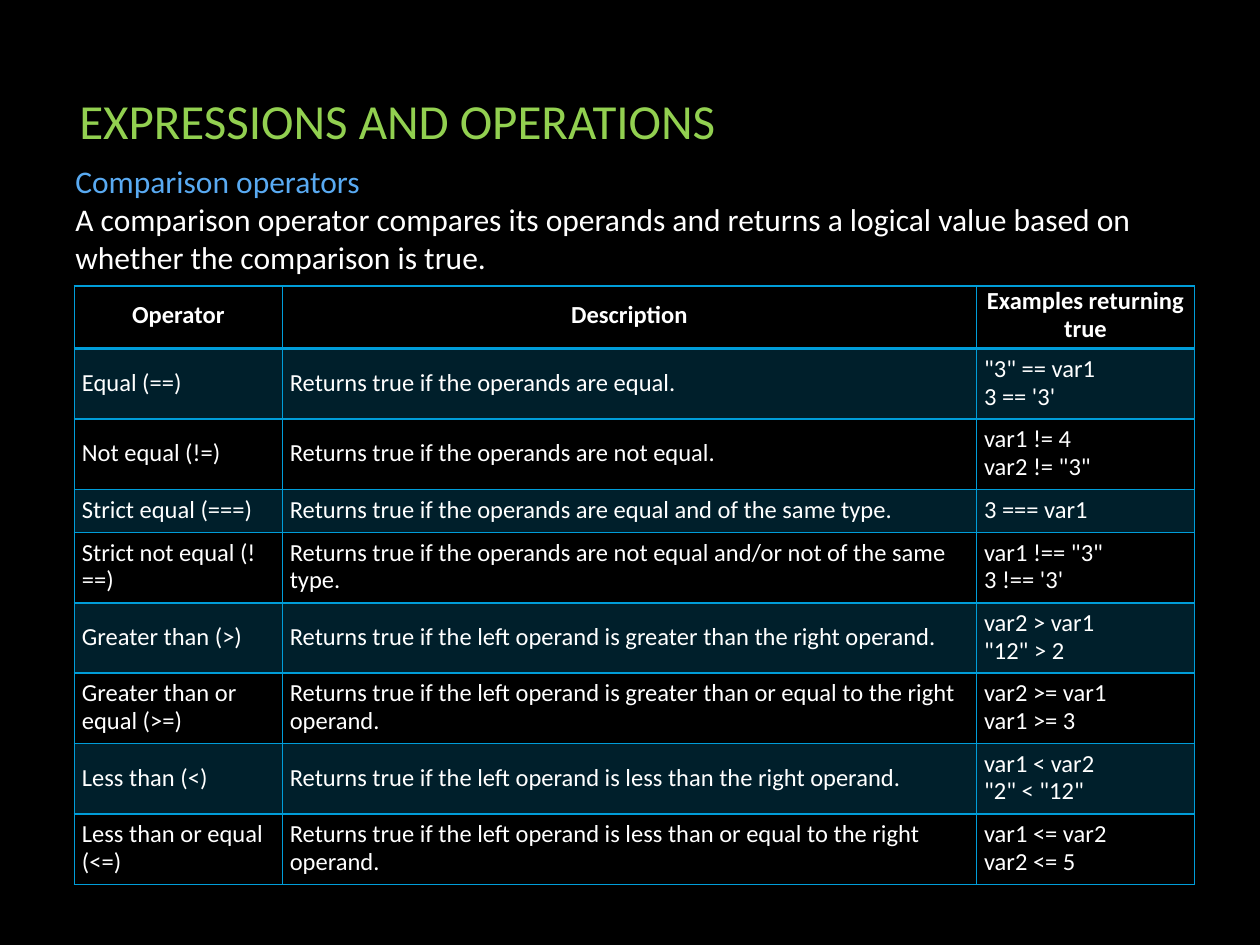
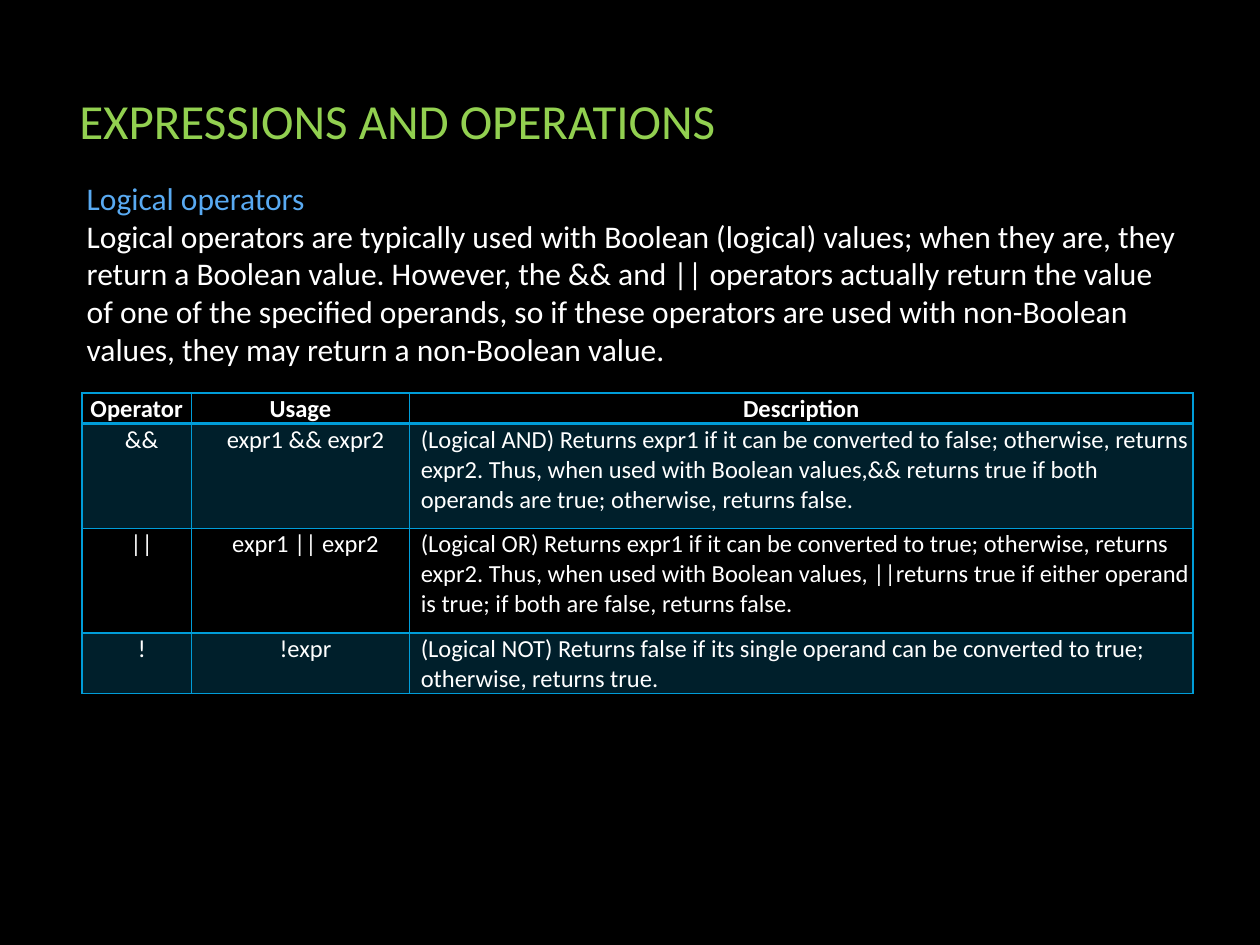
from lxml import etree
from pptx import Presentation
from pptx import util as u
from pptx.dml.color import RGBColor
from pptx.enum import text
from pptx.oxml import ns

COLORS = {"background": "000000", "title": "92D050", "subtitle": "59AAF2", "body": "FFFFFF", "accent": "009DD9"}
BAND_ALPHA = 20000
TITLE = "EXPRESSIONS AND OPERATIONS"
TITLE_BOX = (0.53, 0.6, 8.95, 0.71)
LEFT, CENTER = text.PP_ALIGN.LEFT, text.PP_ALIGN.CENTER
TOP, MIDDLE = text.MSO_ANCHOR.TOP, text.MSO_ANCHOR.MIDDLE

SLIDES = [
    {
        "subtitle": "Comparison operators",
        "body": "A comparison operator compares its operands and returns a logical value based on whether the comparison is true.",
        "text_box": (0.5, 1.24, 8.74, 1.01),
        "table_origin": (0.59, 2.27),
        "columns": (1.65, 5.51, 1.73),
        "row_heights": (0.49, 0.55, 0.55, 0.34, 0.55, 0.55, 0.55, 0.55, 0.55),
        "header": {"insets": (0.08, 0.02, 0.08, 0.04), "anchor": MIDDLE, "alignments": (CENTER, CENTER, CENTER)},
        "content": {"insets": (0.06, 0.06, 0.06, 0.06), "anchor": MIDDLE, "alignments": (LEFT, LEFT, LEFT)},
        "line_spacing": u.Pt(15.8),
        "rows": [
            ("Operator", "Description", "Examples returning true"),
            ("Equal (==)", "Returns true if the operands are equal.", "\"3\" == var1\n3 == '3'"),
            ("Not equal (!=)", "Returns true if the operands are not equal.", "var1 != 4\vvar2 != \"3\""),
            ("Strict equal (===)", "Returns true if the operands are equal and of the same type.", "3 === var1"),
            ("Strict not equal (!==)", "Returns true if the operands are not equal and/or not of the same type.",
             "var1 !== \"3\"\v3 !== '3'"),
            ("Greater than (>)", "Returns true if the left operand is greater than the right operand.",
             "var2 > var1\v\"12\" > 2"),
            ("Greater than or equal (>=)", "Returns true if the left operand is greater than or equal to the right operand.",
             "var2 >= var1\vvar1 >= 3"),
            ("Less than (<)", "Returns true if the left operand is less than the right operand.",
             "var1 < var2\v\"2\" < \"12\""),
            ("Less than or equal (<=)", "Returns true if the left operand is less than or equal to the right operand.",
             "var1 <= var2\vvar2 <= 5"),
        ],
    },
    {
        "subtitle": "Logical operators",
        "body": "Logical operators are typically used with Boolean (logical) values; when they are, they return a Boolean value. "
                "However, the && and || operators actually return the value of one of the specified operands, so if these "
                "operators are used with non-Boolean values, they may return a non-Boolean value.",
        "text_box": (0.59, 1.37, 8.9, 1.62),
        "table_origin": (0.65, 3.12),
        "columns": (0.87, 1.73, 6.22),
        "row_heights": (0.24, 0.83, 0.83, 0.48),
        "header": {"insets": (0.01, 0.01, 0.01, 0), "anchor": MIDDLE, "alignments": (CENTER, CENTER, CENTER)},
        "content": {"insets": (0.09, 0.01, 0.01, 0), "anchor": TOP, "alignments": (CENTER, CENTER, LEFT)},
        "line_spacing": 1.0,
        "rows": [
            ("Operator", "Usage", "Description"),
            ("&&", "expr1 && expr2",
             "(Logical AND) Returns expr1 if it can be converted to false; otherwise, returns expr2. Thus, when used "
             "with Boolean values,&& returns true if both operands are true; otherwise, returns false."),
            ("||", "expr1 || expr2",
             "(Logical OR) Returns expr1 if it can be converted to true; otherwise, returns expr2. Thus, when used "
             "with Boolean values, ||returns true if either operand is true; if both are false, returns false."),
            ("!", "!expr",
             "(Logical NOT) Returns false if its single operand can be converted to true; otherwise, returns true."),
        ],
    },
]


def inches(values):
    return [u.Inches(value) for value in values]


def set_attributes(target, values):
    for name, value in values.items():
        setattr(target, name, value)


def format_paragraph(paragraph, size, color, bold=False, **layout):
    set_attributes(paragraph, layout)
    for run in paragraph.runs:
        set_attributes(run.font, {"name": "Calibri", "size": u.Pt(size), "bold": bold})
        run.font.color.rgb = RGBColor.from_string(COLORS[color])


def set_borders(cell, widths):
    properties = cell._tc.get_or_add_tcPr()
    for side, width in widths.items():
        line = etree.SubElement(properties, ns.qn(f"a:ln{side}"), w=str(u.Pt(width)))
        fill = etree.SubElement(line, ns.qn("a:solidFill"))
        etree.SubElement(fill, ns.qn("a:srgbClr"), val=COLORS["accent"])


def set_fill(cell, banded):
    if not banded:
        cell.fill.background()
        return
    cell.fill.solid()
    cell.fill.fore_color.rgb = RGBColor.from_string(COLORS["accent"])
    color = cell._tc.tcPr.find(f"{ns.qn('a:solidFill')}/{ns.qn('a:srgbClr')}")
    etree.SubElement(color, ns.qn("a:alpha"), val=str(BAND_ALPHA))


def add_title(slide):
    title = slide.shapes.title
    title.text_frame.text = TITLE
    title.text_frame.vertical_anchor = MIDDLE
    set_attributes(title, dict(zip(("left", "top", "width", "height"), inches(TITLE_BOX))))
    format_paragraph(title.text_frame.paragraphs[0], 28, "title", alignment=LEFT)


def add_introduction(slide, content):
    frame = slide.shapes.add_textbox(*inches(content["text_box"])).text_frame
    frame.word_wrap = True
    frame.text = f"{content['subtitle']}\n{content['body']}"
    for paragraph, color in zip(frame.paragraphs, ("subtitle", "body")):
        format_paragraph(paragraph, 18, color)


def add_operator_table(slide, content):
    rows, columns, heights = content["rows"], content["columns"], content["row_heights"]
    size = (sum(columns), sum(heights))
    table = slide.shapes.add_table(len(rows), len(columns), *inches(content["table_origin"] + size)).table
    set_attributes(table, {"first_row": False, "horz_banding": False})
    for column, width in zip(table.columns, columns):
        column.width = u.Inches(width)
    for row_index, (row, height) in enumerate(zip(rows, heights)):
        table.rows[row_index].height = u.Inches(height)
        is_header = row_index == 0
        style = content["header" if is_header else "content"]
        borders = {"L": 1, "R": 1, "T": 2 if row_index == 1 else 1, "B": 2 if is_header else 1}
        margins = dict(zip(("margin_left", "margin_top", "margin_right", "margin_bottom"), inches(style["insets"])))
        for column_index, (words, alignment) in enumerate(zip(row, style["alignments"])):
            cell = table.cell(row_index, column_index)
            cell.text_frame.text = words
            set_attributes(cell, {"vertical_anchor": style["anchor"], **margins})
            set_borders(cell, borders)
            set_fill(cell, row_index % 2 == 1)
            for paragraph in cell.text_frame.paragraphs:
                format_paragraph(paragraph, 14, "body", is_header, alignment=alignment,
                                 line_spacing=content["line_spacing"])


def main():
    presentation = Presentation()
    set_attributes(presentation, {"slide_width": u.Inches(10), "slide_height": u.Inches(7.5)})
    background = presentation.slide_master.background.fill
    background.solid()
    background.fore_color.rgb = RGBColor.from_string(COLORS["background"])
    for content in SLIDES:
        slide = presentation.slides.add_slide(presentation.slide_layouts[5])
        add_title(slide)
        add_introduction(slide, content)
        add_operator_table(slide, content)
    presentation.save("out.pptx")


if __name__ == "__main__":
    main()
